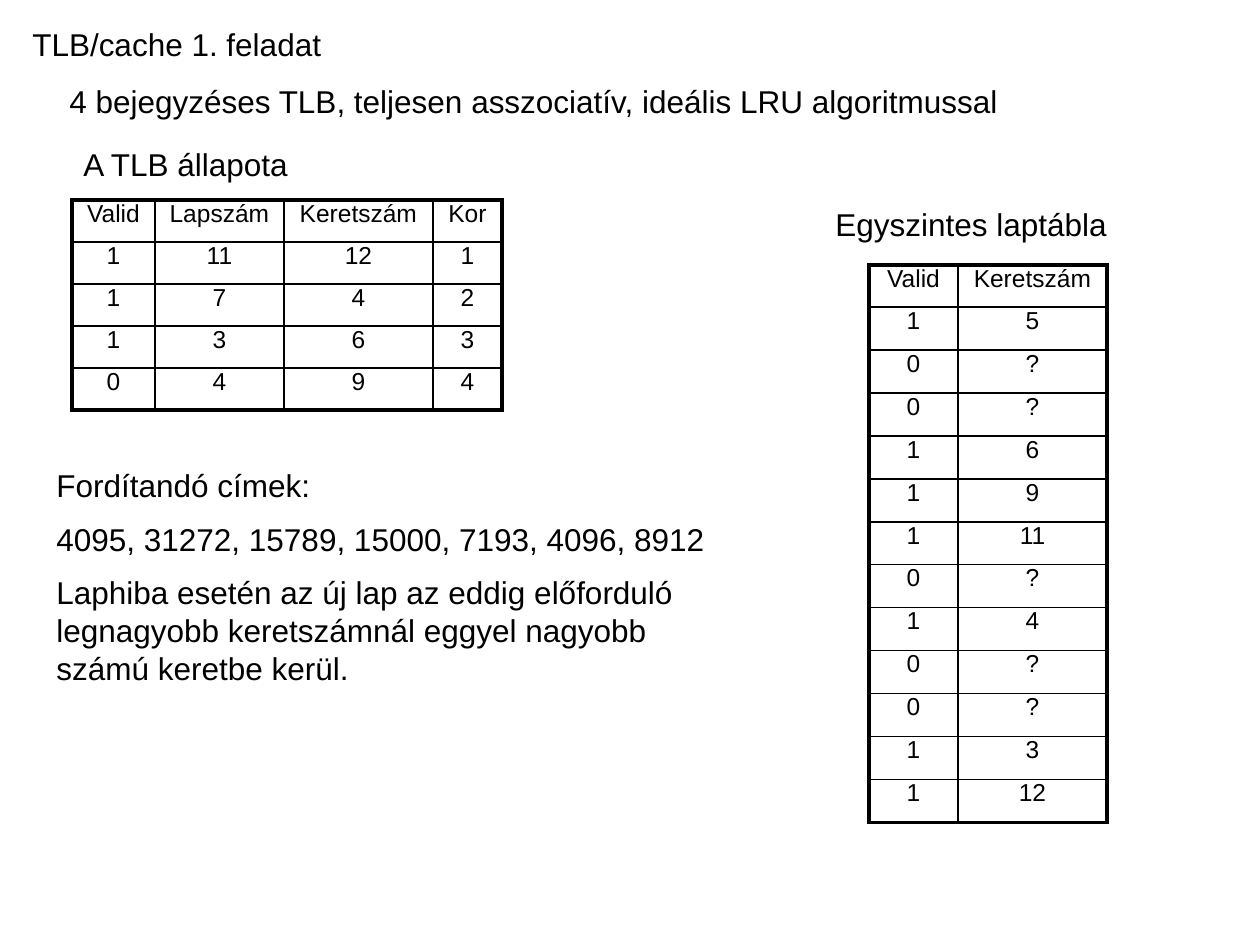
"""Builds a slide with a TLB exercise: its state, a page table and the task."""
import pptx
import pptx.dml.color
import pptx.enum.text
import pptx.oxml.ns
import pptx.util
from lxml import etree

COLORS = {"ink": "000000", "paper": "FFFFFF"}
INK = pptx.dml.color.RGBColor.from_string(COLORS["ink"])
SCALE = pptx.util.Inches(1) / 126
THIN, THICK = 1, 2.25


def px(count):
    return pptx.util.Emu(round(count * SCALE))


def style(para, size):
    para.font.name = "Arial"
    para.font.size = pptx.util.Pt(size)
    para.font.color.rgb = INK


deck = pptx.Presentation()
deck.slide_width, deck.slide_height = px(1260), px(945)
slide = deck.slides.add_slide(deck.slide_layouts[6])
slide.background.fill.solid()
slide.background.fill.fore_color.rgb = pptx.dml.color.RGBColor.from_string(COLORS["paper"])

texts = [
    (20, 19, 655, 50, ["TLB/cache 1. feladat"]),
    (57, 76, 1137, 50, ["4 bejegyzéses TLB, teljesen asszociatív, ideális LRU algoritmussal"]),
    (71, 139, 270, 50, ["A TLB állapota"]),
    (823, 199, 333, 50, ["Egyszintes laptábla"]),
    (44, 460, 706, 239, [
        "Fordítandó címek:",
        "4095, 31272, 15789, 15000, 7193, 4096, 8912",
        "Laphiba esetén az új lap az eddig előforduló legnagyobb "
        "keretszámnál eggyel nagyobb számú keretbe kerül.",
    ]),
]
for left, top, width, height, lines in texts:
    frame = slide.shapes.add_textbox(px(left), px(top), px(width), px(height)).text_frame
    frame.word_wrap = True
    frame.text = "\n".join(lines)
    for index, para in enumerate(frame.paragraphs):
        style(para, 18)
        if index:
            para.space_before = pptx.util.Pt(9)

state = [
    ["Valid", "Lapszám", "Keretszám", "Kor"],
    ["1", "11", "12", "1"],
    ["1", "7", "4", "2"],
    ["1", "3", "6", "3"],
    ["0", "4", "9", "4"],
]
frames = ["5", "?", "?", "6", "9", "11", "?", "4", "?", "?", "3", "12"]
pages = [["Valid", "Keretszám"]]
pages += [["0" if number == "?" else "1", number] for number in frames]

tables = [
    (72, 200, [83, 129, 149, 69], 42, state),
    (869, 265, [89, 149], 43, pages),
]
for left, top, widths, step, data in tables:
    heights = [42] + [step] * (len(data) - 1)
    table = slide.shapes.add_table(
        len(data), len(widths), px(left), px(top), px(sum(widths)), px(sum(heights))
    ).table
    table.first_row = table.horz_banding = False
    for column, width in zip(table.columns, widths):
        column.width = px(width)
    for row, height in zip(table.rows, heights):
        row.height = px(height)
    for y, values in enumerate(data):
        for x, value in enumerate(values):
            cell = table.cell(y, x)
            cell.text = value
            cell.margin_left = cell.margin_right = cell.margin_top = cell.margin_bottom = 0
            para = cell.text_frame.paragraphs[0]
            para.alignment = pptx.enum.text.PP_ALIGN.CENTER
            style(para, 14)
            edges = {
                "L": x == 0,
                "R": x == len(widths) - 1,
                "T": y == 0,
                "B": y == len(data) - 1,
            }
            props = cell._tc.get_or_add_tcPr()
            for side, outer in edges.items():
                weight = pptx.util.Pt(THICK if outer else THIN)
                line = etree.SubElement(props, pptx.oxml.ns.qn("a:ln" + side), w=str(weight))
                fill = etree.SubElement(line, pptx.oxml.ns.qn("a:solidFill"))
                etree.SubElement(fill, pptx.oxml.ns.qn("a:srgbClr"), val=COLORS["ink"])
            cell.fill.background()

deck.save("out.pptx")
